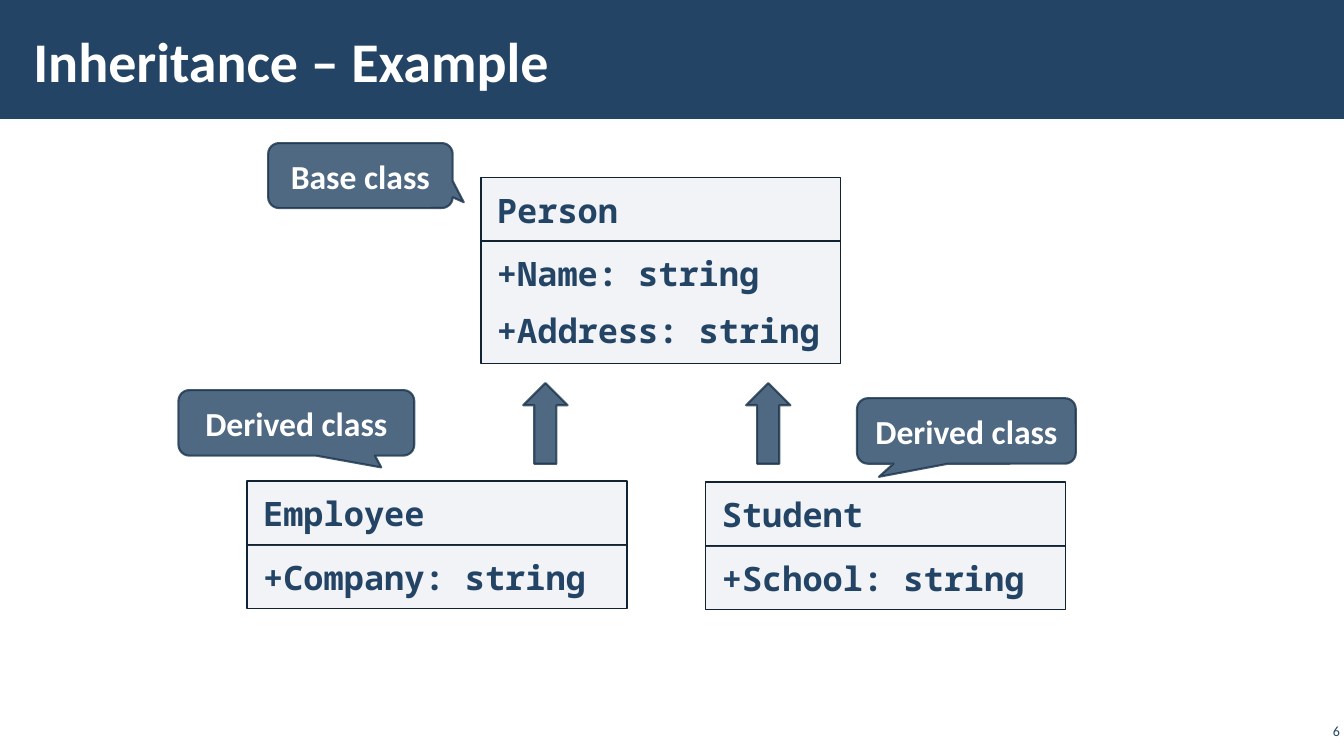
from dataclasses import dataclass

from lxml import etree
from pptx import Presentation
from pptx.dml.color import RGBColor
from pptx.enum.shapes import MSO_SHAPE
from pptx.enum.text import MSO_ANCHOR, MSO_AUTO_SIZE, PP_ALIGN
from pptx.oxml.ns import qn
from pptx.util import Inches, Pt

RECT = MSO_SHAPE.RECTANGLE
CALLOUT = MSO_SHAPE.ROUNDED_RECTANGULAR_CALLOUT
ARROW = MSO_SHAPE.UP_ARROW
TOP, MIDDLE = MSO_ANCHOR.TOP, MSO_ANCHOR.MIDDLE
LEFT, CENTER, RIGHT = PP_ALIGN.LEFT, PP_ALIGN.CENTER, PP_ALIGN.RIGHT
GROW = MSO_AUTO_SIZE.SHAPE_TO_FIT_TEXT

SLIDE_W, SLIDE_H = Inches(13.33), Inches(7.5)
HEADER_H = 8.4
ROW_H = 7.73


@dataclass(frozen=True)
class Theme:
    navy: str = "234465"
    edge: str = "1A334C"
    ink: str = "112233"
    panel: str = "ADB4C3"
    white: str = "FFFFFF"
    sans: str = "Calibri"
    mono: str = "Noto Sans Mono"
    title: int = 40
    body: int = 24
    small: int = 10


THEME = Theme()


def place(box):
    x, y, w, h = box
    return [int(SLIDE_W * x / 100), int(SLIDE_H * y / 100),
            int(SLIDE_W * w / 100), int(SLIDE_H * h / 100)]


def paint(fill, color, alpha=100):
    fill.solid()
    fill.fore_color.rgb = RGBColor.from_string(color)
    if alpha < 100:
        for clr in fill._xPr.iter(qn("a:srgbClr")):
            etree.SubElement(clr, qn("a:alpha"), val=str(alpha * 1000))


def add_block(s, kind, box, color, alpha=100, line=None, width=1, line_alpha=100):
    sp = s.shapes.add_shape(kind, *place(box))
    sp.shadow.inherit = False
    paint(sp.fill, color, alpha)
    if line:
        sp.line.width = Pt(width)
        paint(sp.line.fill, line, line_alpha)
    else:
        sp.line.fill.background()
    return sp


def write(sp, lines, font, size, color, bold=True, align=LEFT, anchor=MIDDLE,
          inset=(0.1, 0.05), space=0):
    tf = sp.text_frame
    tf.word_wrap = True
    tf.vertical_anchor = anchor
    tf.margin_left = tf.margin_right = Inches(inset[0])
    tf.margin_top = tf.margin_bottom = Inches(inset[1])
    for i, text in enumerate(lines):
        p = tf.add_paragraph() if i else tf.paragraphs[0]
        p.alignment = align
        p.space_before = p.space_after = Pt(space)
        r = p.add_run()
        r.text = text
        r.font.name = font
        r.font.size = Pt(size)
        r.font.bold = bold
        r.font.color.rgb = RGBColor.from_string(color)


def add_header(s, box, title):
    x, y, w, h = box
    add_block(s, RECT, box, THEME.navy)
    sp = s.shapes.add_textbox(*place((x + 1.58, y + 1.47, w * 0.78, h - 2.8)))
    write(sp, [title], THEME.sans, THEME.title, THEME.white, inset=(0.12, 0.04))


def add_page_number(s, box, number):
    sp = s.shapes.add_textbox(*place(box))
    write(sp, [number], THEME.sans, THEME.small, THEME.navy, bold=False,
          align=RIGHT, inset=(0.04, 0.04))


def add_class(s, box, name, members):
    x, y, w, head_h = box
    body_h = head_h + ROW_H * (len(members) - 1)
    parts = [((x, y, w, head_h), [name]),
             ((x, y + HEADER_H, w, body_h), members)]
    for part, lines in parts:
        sp = add_block(s, RECT, part, THEME.panel, 15, THEME.ink)
        write(sp, lines, THEME.mono, THEME.body, THEME.navy, anchor=TOP,
              inset=(0.16, 0.12), space=6)
        sp.text_frame.auto_size = GROW


def add_accent(s, kind, box):
    return add_block(s, kind, box, THEME.navy, 80, THEME.edge, 1.5, 80)


def add_callout(s, box, text, tip):
    sp = add_accent(s, CALLOUT, box)
    sp.adjustments[0], sp.adjustments[1] = tip
    write(sp, [text], THEME.sans, THEME.body, THEME.white, align=CENTER)


def main():
    prs = Presentation()
    prs.slide_width, prs.slide_height = SLIDE_W, SLIDE_H
    s = prs.slides.add_slide(prs.slide_layouts[6])

    add_header(s, (0, 0, 100, 15.73), "Inheritance – Example")
    add_page_number(s, (96.47, 95.2, 3.53, 2.93), "6")

    add_class(s, (35.78, 23.47, 26.78, 8.5), "Person",
              ["+Name: string", "+Address: string"])
    add_class(s, (18.38, 63.6, 28.28, 8.5), "Employee", ["+Company: string"])
    add_class(s, (52.51, 63.73, 26.78, 8.5), "Student", ["+School: string"])

    add_callout(s, (13.28, 51.6, 17.55, 8.67), "Derived class", (0.36, 0.68))
    add_callout(s, (63.77, 52.67, 16.28, 8.67), "Derived class", (-0.4, 0.7))
    add_callout(s, (19.95, 18.93, 13.73, 8.6), "Base class", (0.56, 0.41))

    for x in (38.93, 55.51):
        add_accent(s, ARROW, (x, 50.67, 3.3, 10.67))

    prs.save("out.pptx")


if __name__ == "__main__":
    main()
